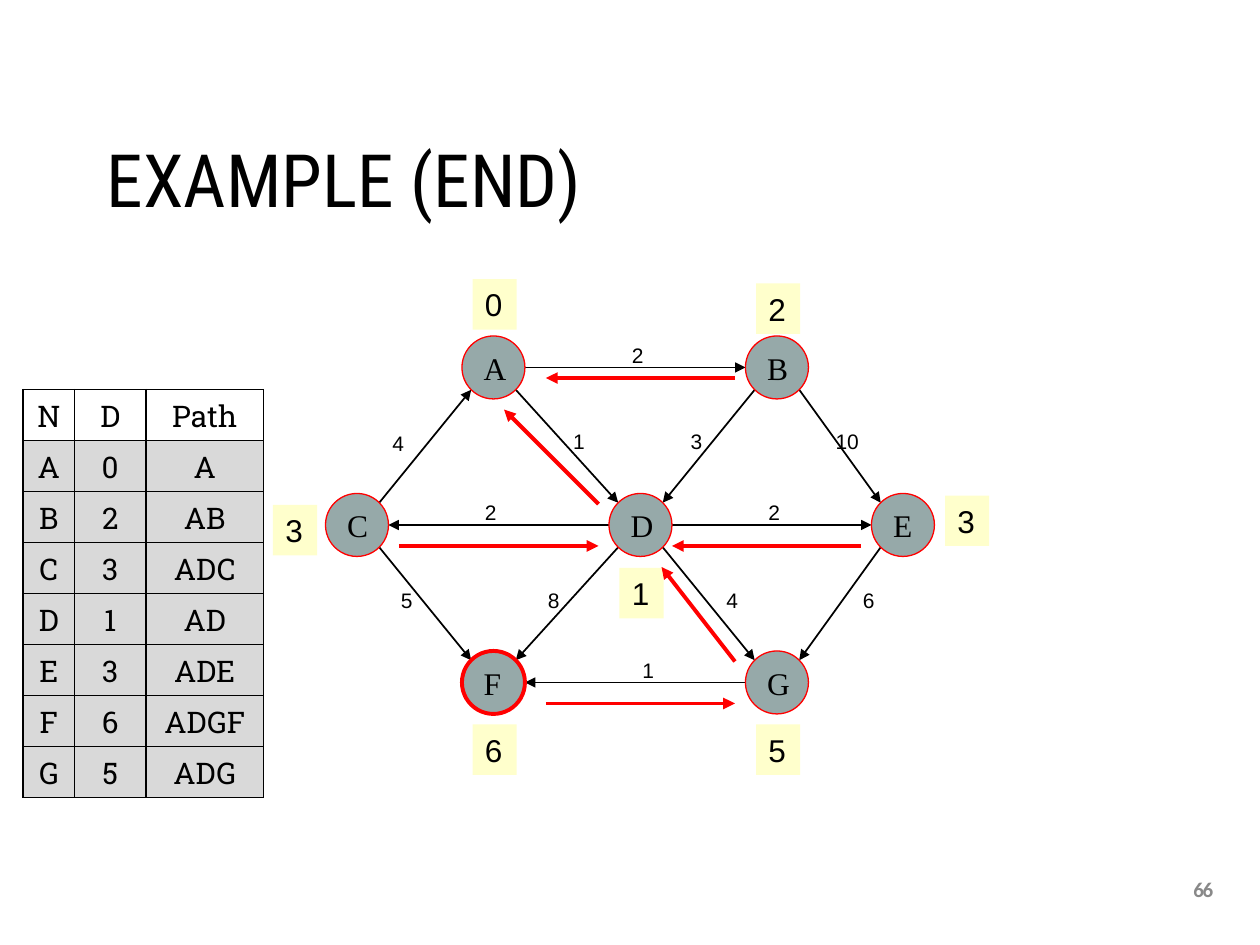
from math import copysign, sqrt

from lxml.etree import SubElement
from pptx import Presentation
from pptx.dml.color import RGBColor
from pptx.enum.shapes import MSO_CONNECTOR as Connector, MSO_SHAPE as Shape
from pptx.enum.text import MSO_ANCHOR as Anchor, PP_ALIGN as Align
from pptx.oxml.ns import qn
from pptx.util import Inches, Pt

# Lengths are units of a grid of 120 columns by 90 rows, twelve to the inch.
COLUMNS, ROWS = 120, 90
RADIUS = 3
BLACK, RED, GREY = "000000", "FF0000", "898989"
NODE_FILL, BADGE_FILL, ROW_FILL = "96A9A9", "FFFFCC", "D9D9D9"

NODE_CENTRES = {
    "A": (47, 35), "B": (74, 35), "C": (34, 50), "D": (61, 50),
    "E": (86, 50), "F": (47, 65), "G": (74, 65),
}
FINAL_NODE = "F"
# start, end, weight, left and top of the weight label
EDGES = [
    ("A", "B", "2", 59, 32), ("G", "F", "1", 60, 62),
    ("D", "C", "2", 45, 47), ("D", "E", "2", 72, 47),
    ("C", "A", "4", 36.2, 40.4), ("A", "D", "1", 53.4, 40.2),
    ("B", "D", "3", 64.6, 40.2), ("B", "E", "10", 78.4, 40.2),
    ("C", "F", "5", 37, 55.4), ("D", "F", "8", 51, 55.4),
    ("D", "G", "4", 68, 55.4), ("E", "G", "6", 81, 55.4),
]
PREDECESSOR_ARROWS = [
    ((57, 48), (48, 39)), ((70, 36), (52, 36)), ((82, 52), (64, 52)),
    ((70, 63), (63, 54)), ((52, 67), (70, 67)), ((38, 52), (57, 52)),
]
BADGE_CORNERS = {
    "A": (45, 26.6), "B": (72, 27), "C": (26, 48.1), "D": (59, 54.1),
    "E": (90, 47.2), "F": (45, 69), "G": (72, 69),
}
HEADER = ("N", "D", "Path")
RESULTS = [
    ("A", "0", "A"), ("B", "2", "AB"), ("C", "3", "ADC"), ("D", "1", "AD"),
    ("E", "3", "ADE"), ("F", "6", "ADGF"), ("G", "5", "ADG"),
]
TABLE_WIDTHS = (4.9, 6.8, 11.2)
TABLE_ROW = 4.86


def grid(*units):
    return [Inches(unit / 12) for unit in units]


def colour(hex_string):
    return RGBColor.from_string(hex_string)


def write(frame, text, font, size, hex_string=BLACK, align=None):
    """Add one run to the first paragraph and return it."""
    paragraph = frame.paragraphs[0]
    paragraph.alignment = align
    run = paragraph.add_run()
    run.text = text
    run.font.name = font
    run.font.size = Pt(size)
    run.font.color.rgb = colour(hex_string)
    return run


def add_text(slide, box, text, font, size, hex_string=BLACK, align=None, wrap=False):
    frame = slide.shapes.add_textbox(*grid(*box)).text_frame
    frame.word_wrap = wrap
    frame.vertical_anchor = Anchor.MIDDLE
    return write(frame, text, font, size, hex_string, align)


def add_filled(slide, kind, box, fill, text, font, anchor):
    """Add a filled shape without a line, holding one 18 pt text."""
    shape = slide.shapes.add_shape(kind, *grid(*box))
    shape.shadow.inherit = False
    shape.fill.solid()
    shape.fill.fore_color.rgb = colour(fill)
    shape.line.fill.background()
    shape.text_frame.word_wrap = False
    shape.text_frame.vertical_anchor = anchor
    write(shape.text_frame, text, font, 18, align=Align.LEFT)
    return shape


def add_node(slide, name):
    x, y = NODE_CENTRES[name]
    box = (x - RADIUS, y - RADIUS, 2 * RADIUS, 2 * RADIUS)
    node = add_filled(slide, Shape.OVAL, box, NODE_FILL, name, "Times New Roman", Anchor.MIDDLE)
    node.line.color.rgb = colour(RED)
    node.line.width = Pt(2.25 if name == FINAL_NODE else 0.75)


def add_arrow(slide, start, end, hex_string, width):
    arrow = slide.shapes.add_connector(Connector.STRAIGHT, *grid(*start, *end))
    arrow.line.color.rgb = colour(hex_string)
    arrow.line.width = Pt(width)
    SubElement(arrow.line._get_or_add_ln(), qn("a:tailEnd"), type="triangle")
    SubElement(arrow._element.spPr, qn("a:effectLst"))


def add_edge(slide, start, end, weight, left, top):
    """Join two circles at their sides or, on a slant, at their 45 degree points."""
    (x1, y1), (x2, y2) = NODE_CENTRES[start], NODE_CENTRES[end]
    slanted = y1 != y2
    reach = RADIUS / sqrt(2) if slanted else RADIUS
    dx = copysign(reach, x2 - x1)
    dy = copysign(reach, y2 - y1) if slanted else 0
    add_arrow(slide, (x1 + dx, y1 + dy), (x2 - dx, y2 - dy), BLACK, 1)
    add_text(slide, (left, top, 2.4 + 1.2 * len(weight), 3.6), weight, "Arial", 12)


def add_borders(cell):
    properties = cell._tc.get_or_add_tcPr()
    for side in ("lnL", "lnR", "lnT", "lnB"):
        line = SubElement(properties, qn(f"a:{side}"), w=str(Pt(1)))
        fill = SubElement(line, qn("a:solidFill"))
        SubElement(fill, qn("a:srgbClr"), val=BLACK)


def add_results_table(slide):
    rows = [HEADER, *RESULTS]
    box = grid(2.2, 37.1, sum(TABLE_WIDTHS), TABLE_ROW * len(rows))
    table = slide.shapes.add_table(len(rows), len(HEADER), *box).table
    for column, width in zip(table.columns, grid(*TABLE_WIDTHS)):
        column.width = width
    for row_number, values in enumerate(rows):
        table.rows[row_number].height = grid(TABLE_ROW)[0]
        for cell, value in zip(table.rows[row_number].cells, values):
            add_borders(cell)
            if row_number == 0:
                cell.fill.background()
            else:
                cell.fill.solid()
                cell.fill.fore_color.rgb = colour(ROW_FILL)
            write(cell.text_frame, value, "Roboto Slab", 17, align=Align.CENTER)


def main():
    presentation = Presentation()
    presentation.slide_width, presentation.slide_height = grid(COLUMNS, ROWS)
    slide = presentation.slides.add_slide(presentation.slide_layouts[6])

    number = add_text(slide, (111.4, 82.3, 6.4, 4.8), "66", "Calibri", 12, GREY, Align.CENTER, True)
    number.font.bold = True
    number._r.get_or_add_rPr().set("spc", "-70")
    add_text(slide, (9, 6.4, 102, 21.1), "EXAMPLE (END)", "Roboto Condensed", 42, wrap=True)

    for edge in EDGES:
        add_edge(slide, *edge)
    for name in NODE_CENTRES:
        add_node(slide, name)
    for name, distance, _ in RESULTS:
        box = (*BADGE_CORNERS[name], 4.2, 4.8)
        add_filled(slide, Shape.RECTANGLE, box, BADGE_FILL, distance, "Arial", Anchor.TOP)
    for start, end in PREDECESSOR_ARROWS:
        add_arrow(slide, start, end, RED, 2.25)
    add_results_table(slide)

    presentation.save("out.pptx")


if __name__ == "__main__":
    main()
